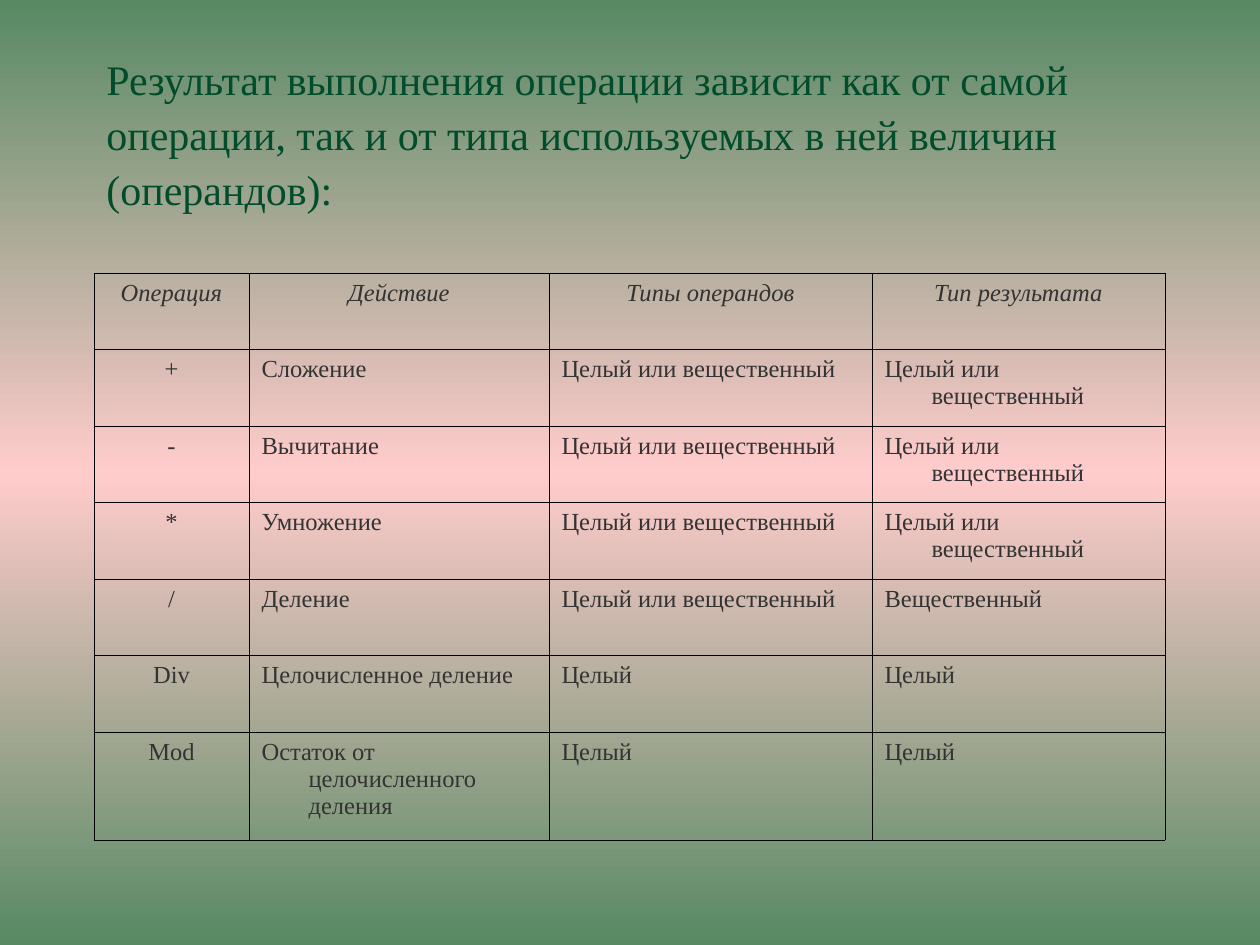
from copy import deepcopy

from lxml.etree import SubElement
from pptx import Presentation
from pptx.dml.color import RGBColor
from pptx.enum.text import MSO_ANCHOR, PP_ALIGN
from pptx.oxml.ns import qn
from pptx.util import Pt

PX = 914400 / 126
FONT = "Times New Roman"
COLORS = {
    "edge": "578963",
    "middle": "FFCCCC",
    "title": "004C2B",
    "text": "333333",
    "border": "000000",
}

TITLE = ("Результат выполнения операции зависит как от самой операции, "
         "так и от типа используемых в ней величин (операндов):")
EITHER = "Целый или вещественный"
OPERATIONS = [
    ("Операция", "Действие", "Типы операндов", "Тип результата"),
    ("+", "Сложение", EITHER, EITHER),
    ("-", "Вычитание", EITHER, EITHER),
    ("*", "Умножение", EITHER, EITHER),
    ("/", "Деление", EITHER, "Вещественный"),
    ("Div", "Целочисленное деление", "Целый", "Целый"),
    ("Mod", "Остаток от целочисленного деления", "Целый", "Целый"),
]
COLUMN_WIDTHS = [155, 300, 323, 293]
ROW_HEIGHTS = [76, 77] * 3 + [108]
COLUMN_ALIGN = [PP_ALIGN.CENTER, PP_ALIGN.JUSTIFY, PP_ALIGN.LEFT, PP_ALIGN.LEFT]
LAST_ROW_ALIGN = [PP_ALIGN.CENTER, PP_ALIGN.LEFT, PP_ALIGN.LEFT, PP_ALIGN.JUSTIFY]


def px(length):
    return round(length * PX)


def rgb(name):
    return RGBColor.from_string(COLORS[name])


def add_run(paragraph, text, size, color, italic=False):
    run = paragraph.add_run()
    run.text = text
    run.font.name = FONT
    run.font.size = Pt(size)
    run.font.italic = italic
    run.font.bold = False
    run.font.color.rgb = rgb(color)


def paint_background(slide):
    fill = slide.background.fill
    fill.gradient()
    fill.gradient_angle = 90
    stops = fill.gradient_stops
    for stop in stops:
        stop.color.rgb = rgb("edge")
    stops[0].position, stops[1].position = 0, 1
    # Third stop, halfway down
    first = slide.background._cSld.find(".//" + qn("a:gs"))
    first.addnext(deepcopy(first))
    middle = fill.gradient_stops[1]
    middle.position = 0.5
    middle.color.rgb = rgb("middle")


def add_title(slide, left, top, width, height):
    frame = slide.shapes.add_textbox(px(left), px(top), px(width), px(height)).text_frame
    frame.word_wrap = True
    frame.vertical_anchor = MSO_ANCHOR.BOTTOM
    heading = frame.paragraphs[0]
    heading.line_spacing = 1.09
    add_run(heading, TITLE, 24, "title")


def style_cell(cell):
    properties = cell._tc.get_or_add_tcPr()
    for side in ("a:lnL", "a:lnR", "a:lnT", "a:lnB"):
        line = SubElement(properties, qn(side), w=str(Pt(0.45)))
        solid = SubElement(line, qn("a:solidFill"))
        SubElement(solid, qn("a:srgbClr"), val=COLORS["border"])
    cell.fill.background()


def add_operations_table(slide, left, top):
    table = slide.shapes.add_table(
        len(OPERATIONS), len(COLUMN_WIDTHS), px(left), px(top),
        px(sum(COLUMN_WIDTHS)), px(sum(ROW_HEIGHTS))).table
    table.first_row = table.horz_banding = False
    for column, width in zip(table.columns, COLUMN_WIDTHS):
        column.width = px(width)
    for row, height in zip(table.rows, ROW_HEIGHTS):
        row.height = px(height)

    last = len(OPERATIONS) - 1
    for r, operation in enumerate(OPERATIONS):
        aligns = LAST_ROW_ALIGN if r == last else COLUMN_ALIGN
        for c, text in enumerate(operation):
            cell = table.cell(r, c)
            style_cell(cell)
            entry = cell.text_frame.paragraphs[0]
            entry.alignment = PP_ALIGN.CENTER if r == 0 else aligns[c]
            # Hanging indent for wrapped lines
            hanging = entry._p.get_or_add_pPr()
            hanging.set("marL", str(px(47)))
            hanging.set("indent", str(px(-47)))
            add_run(entry, text, 14, "text", italic=r == 0)


def main():
    deck = Presentation()
    deck.slide_width, deck.slide_height = px(1260), px(945)
    slide = deck.slides.add_slide(deck.slide_layouts[6])
    paint_background(slide)
    add_title(slide, 94, 63, 1071, 157)
    add_operations_table(slide, 94, 273)
    deck.save("out.pptx")


if __name__ == "__main__":
    main()
